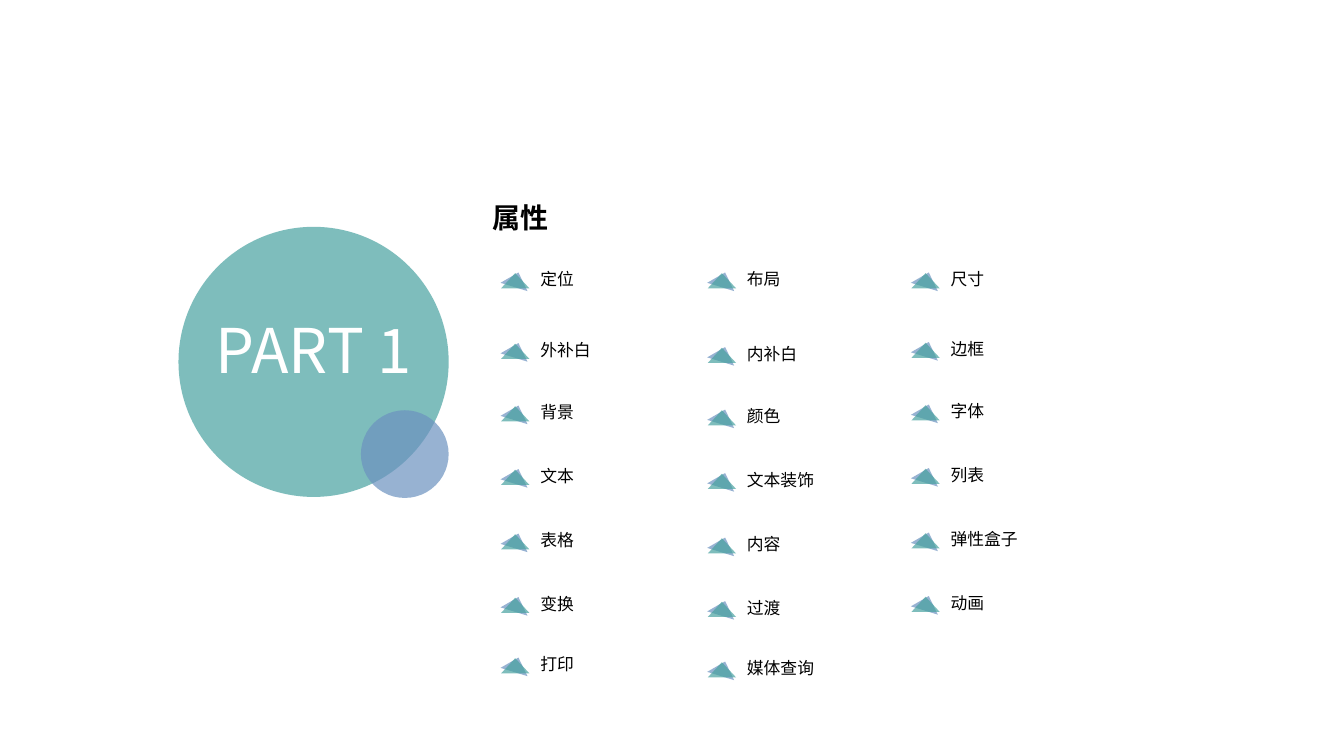
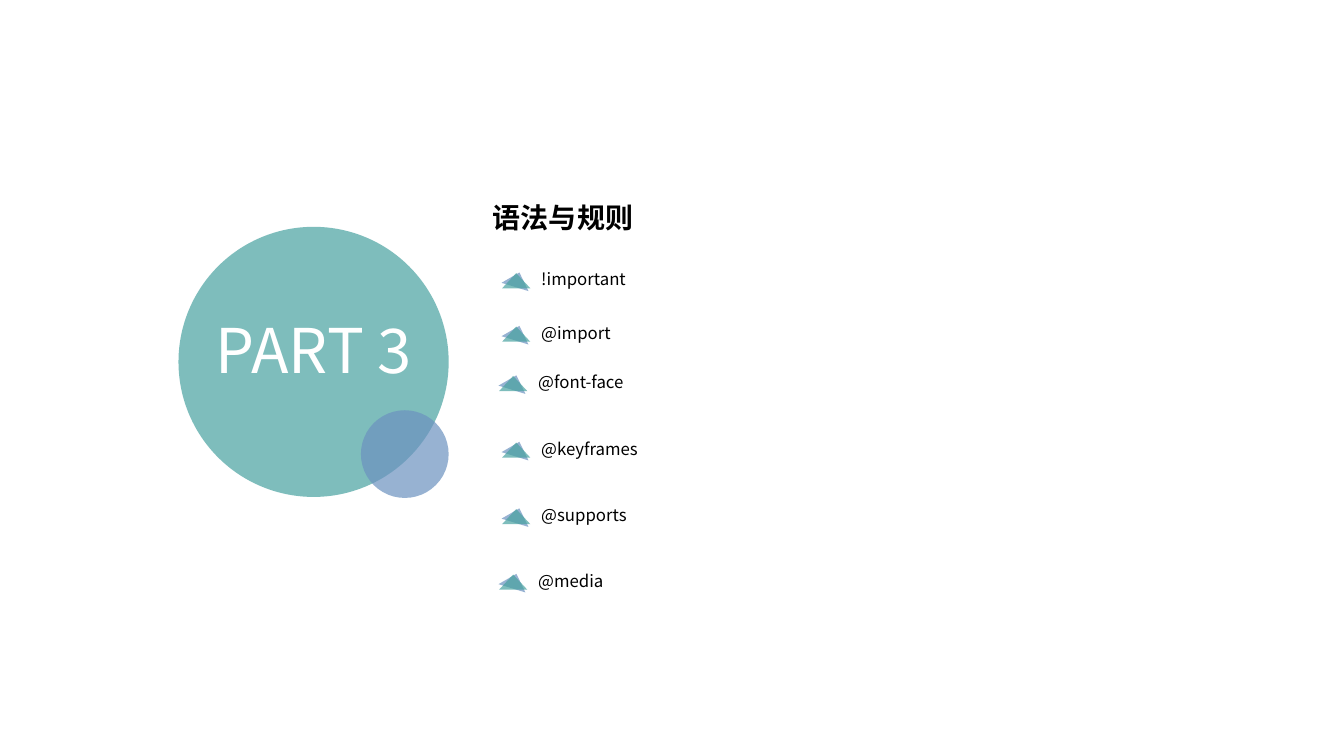
from dataclasses import dataclass

from pptx import Presentation
from pptx.dml.color import RGBColor
from pptx.enum.shapes import MSO_SHAPE
from pptx.enum.text import MSO_ANCHOR, PP_ALIGN
from pptx.oxml.ns import qn
from pptx.util import Inches, Pt


@dataclass(frozen=True)
class Theme:
    teal: str = "48A2A0"
    blue: str = "6C92C0"
    white: str = "FFFFFF"
    black: str = "000000"
    opacity: int = 70
    font: str = "Noto Sans CJK SC"
    part_size: int = 44
    heading_size: int = 20
    item_size: int = 12


class Deck:
    def __init__(self, theme):
        self.theme = theme
        self.presentation = Presentation()
        self.presentation.slide_width = Inches(13.33)
        self.presentation.slide_height = Inches(7.5)
        self.slide = None

    def paint(self, shape, color):
        shape.shadow.inherit = False
        shape.line.fill.background()
        shape.fill.solid()
        shape.fill.fore_color.rgb = RGBColor.from_string(color)
        color_element = shape.fill._xPr.find(qn("a:solidFill"))[0]
        alpha = color_element.makeelement(qn("a:alpha"), {"val": str(self.theme.opacity * 1000)})
        color_element.append(alpha)

    def circle(self, left, top, diameter, color):
        shape = self.slide.shapes.add_shape(
            MSO_SHAPE.OVAL, Inches(left), Inches(top), Inches(diameter), Inches(diameter))
        self.paint(shape, color)

    def text(self, shapes, text, box, size, color, bold=False, wrap=True):
        shape = shapes.add_textbox(*map(Inches, box))
        frame = shape.text_frame
        frame.text = text
        frame.word_wrap = wrap
        frame.vertical_anchor = MSO_ANCHOR.MIDDLE
        paragraph = frame.paragraphs[0]
        font = paragraph.runs[0].font
        font.name = self.theme.font
        font.size = Pt(size)
        font.bold = bold
        font.color.rgb = RGBColor.from_string(color)
        properties = paragraph.runs[0]._r.get_or_add_rPr()
        east_asian = properties.makeelement(qn("a:ea"), {"typeface": self.theme.font})
        properties.find(qn("a:latin")).addnext(east_asian)
        return shape

    def triangle(self, shapes, left, top, color, rotation=0):
        width, height = 0.28, 0.15
        builder = shapes.build_freeform(Inches(left + width / 2), Inches(top))
        builder.add_line_segments([
            (Inches(left + width), Inches(top + height)),
            (Inches(left), Inches(top + height)),
        ])
        shape = builder.convert_to_shape()
        shape.rotation = rotation
        self.paint(shape, color)

    def item(self, text, left, top, width):
        theme = self.theme
        shapes = self.slide.shapes.add_group_shape().shapes
        self.text(shapes, text, (left, top, width, 0.3), theme.item_size, theme.black)
        self.triangle(shapes, left - 0.28, top + 0.08, theme.blue, 17.1)
        self.triangle(shapes, left - 0.29, top + 0.09, theme.teal)

    def section(self, part, heading, heading_width):
        theme = self.theme
        self.slide = self.presentation.slides.add_slide(self.presentation.slide_layouts[6])
        self.circle(1.77, 2.25, 2.68, theme.teal)
        self.circle(3.58, 4.07, 0.87, theme.blue)
        shapes = self.slide.shapes
        label = self.text(shapes, part, (0.95, 3.13, 4.33, 0.93), theme.part_size, theme.white)
        label.text_frame.vertical_anchor = MSO_ANCHOR.TOP
        label.text_frame.paragraphs[0].alignment = PP_ALIGN.CENTER
        label.text_frame.paragraphs[0].line_spacing = 0.9
        self.text(shapes, heading, (4.79, 1.94, heading_width, 0.44),
                  theme.heading_size, theme.black, bold=True, wrap=False)


FIRST_ROW = 2.62
PROPERTY_ROWS = (3.32, 3.94, 4.57, 5.21, 5.84, 6.44)
PROPERTY_COLUMNS = (
    (5.26, 0, ("定位", "外补白", "背景", "文本", "表格", "变换", "打印")),
    (7.31, 0.04, ("布局", "内补白", "颜色", "文本装饰", "内容", "过渡", "媒体查询")),
    (9.33, -0.01, ("尺寸", "边框", "字体", "列表", "弹性盒子", "动画")),
)
RULES = (
    ("!important", 5.27, FIRST_ROW),
    ("@import", 5.27, 3.15),
    ("@font-face", 5.24, 3.64),
    ("@keyframes", 5.27, 4.3),
    ("@supports", 5.27, 4.96),
    ("@media", 5.24, 5.61),
)

deck = Deck(Theme())

deck.section("PART 1", "属性", 0.77)
for left, shift, names in PROPERTY_COLUMNS:
    tops = [FIRST_ROW] + [row + shift for row in PROPERTY_ROWS]
    for name, top in zip(names, tops):
        deck.item(name, left, top, 1.01 if len(name) > 3 else 0.82)

deck.section("PART 3", "语法与规则", 1.61)
for name, left, top in RULES:
    deck.item(name, left, top, 1.47)

deck.presentation.save("out.pptx")
